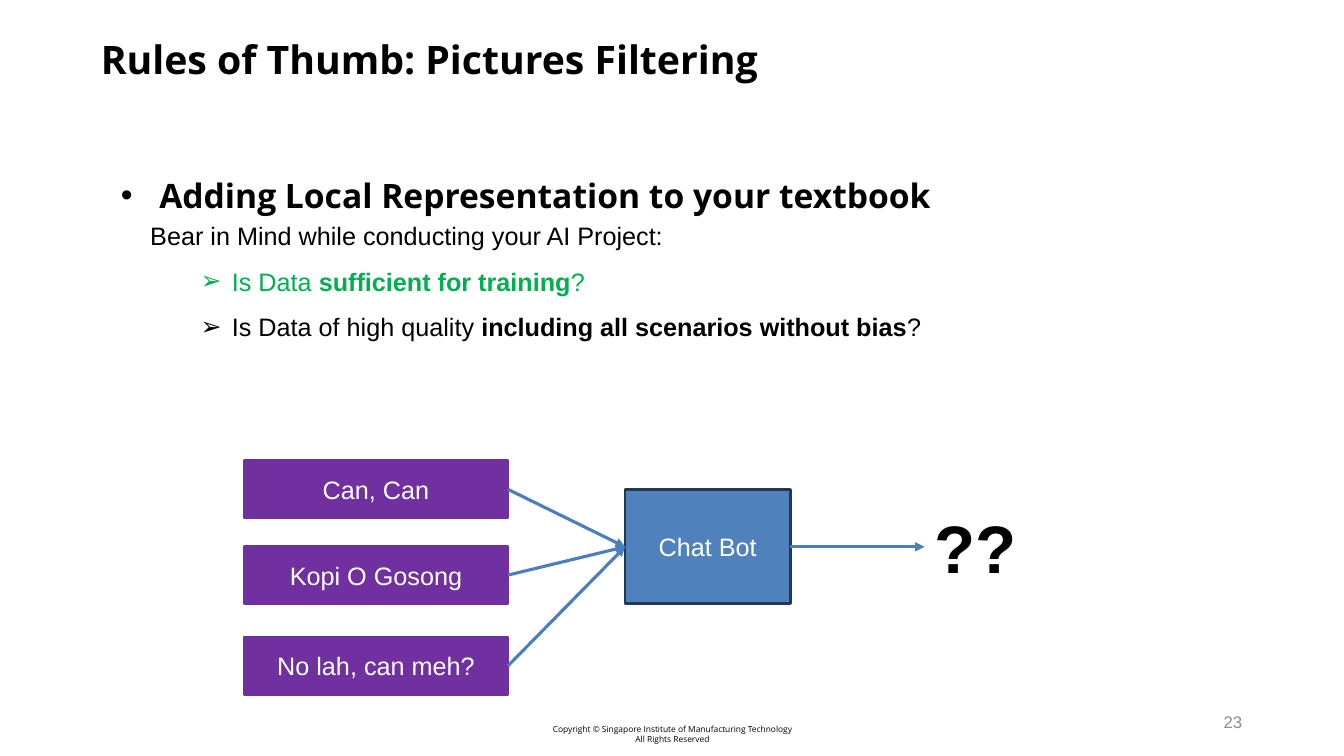
from lxml import etree
from pptx import Presentation
from pptx import util as u
from pptx.dml.color import RGBColor
from pptx.enum import shapes, text
from pptx.oxml.ns import qn

BLACK = RGBColor(0x00, 0x00, 0x00)
WHITE = RGBColor(0xFF, 0xFF, 0xFF)
GRAY = RGBColor(0x8C, 0x8C, 0x8C)
GREEN = RGBColor(0x00, 0xB0, 0x50)
PURPLE = RGBColor(0x70, 0x30, 0xA0)
BLUE = RGBColor(0x4F, 0x81, 0xBD)
NAVY = RGBColor(0x23, 0x39, 0x53)
ARROW_BLUE = RGBColor(0x4B, 0x7E, 0xBC)
LEFT, RIGHT = 1, 3


class SlideBuilder:
    heading_font = "Open Sans"
    body_font = "Arial"
    columns = rows = 100

    def __init__(self, presentation, layout):
        self.column = presentation.slide_width / self.columns
        self.row = presentation.slide_height / self.rows
        self.slide = presentation.slides.add_slide(presentation.slide_layouts[layout])

    def area(self, left, top, width, height):
        return (round(left * self.column), round(top * self.row),
                round(width * self.column), round(height * self.row))

    def placeholder(self, index, area):
        shape = self.slide.placeholders[index]
        shape.left, shape.top, shape.width, shape.height = self.area(*area)
        shape.text_frame.auto_size = text.MSO_AUTO_SIZE.NONE
        return shape

    def text_box(self, area):
        shape = self.slide.shapes.add_textbox(*self.area(*area))
        shape.text_frame.word_wrap = True
        return shape

    def paragraph(self, shape, runs, size, color=BLACK, font=None, bold=None,
                  align=text.PP_ALIGN.LEFT, spacing=1.0, before=0,
                  level=0, bullet=None, indent=0, hanging=0):
        frame = shape.text_frame
        paragraph = frame.paragraphs[0]
        if paragraph.runs:
            paragraph = frame.add_paragraph()
        properties = paragraph._p.get_or_add_pPr()
        properties.set("marL", str(u.Inches(indent)))
        properties.set("indent", str(-u.Inches(hanging)))
        if bullet:
            etree.SubElement(properties, qn("a:buFont"), typeface=self.body_font)
            etree.SubElement(properties, qn("a:buChar"), char=bullet)
        else:
            etree.SubElement(properties, qn("a:buNone"))
        paragraph.level = level
        paragraph.alignment = align
        paragraph.line_spacing = spacing
        paragraph.space_before = u.Pt(before)
        paragraph.font.name = font or self.body_font
        paragraph.font.size = u.Pt(size)
        paragraph.font.bold = bold
        paragraph.font.color.rgb = color
        for words, strong in runs:
            run = paragraph.add_run()
            run.text = words
            if strong:
                run.font.bold = True

    def box(self, label, area, fill, line):
        shape = self.slide.shapes.add_shape(shapes.MSO_SHAPE.RECTANGLE, *self.area(*area))
        shape.shadow.inherit = False
        shape.fill.solid()
        shape.fill.fore_color.rgb = fill
        shape.line.color.rgb = line
        shape.line.width = u.Pt(2)
        shape.text_frame.vertical_anchor = text.MSO_ANCHOR.MIDDLE
        self.paragraph(shape, [(label, False)], 18, WHITE, align=text.PP_ALIGN.CENTER)
        return shape

    def arrow(self, source, target):
        connector = self.slide.shapes.add_connector(shapes.MSO_CONNECTOR.STRAIGHT, 0, 0, 0, 0)
        connector.begin_connect(source, RIGHT)
        connector.end_connect(target, LEFT)
        connector.line.color.rgb = ARROW_BLUE
        connector.line.width = u.Pt(2.25)
        etree.SubElement(connector.line._get_or_add_ln(), qn("a:tailEnd"), type="triangle")
        etree.SubElement(connector._element.spPr, qn("a:effectLst"))


def main():
    presentation = Presentation()
    presentation.slide_width = u.Inches(13.33)
    presentation.slide_height = u.Inches(7.5)
    builder = SlideBuilder(presentation, 3)

    copyright_box = builder.text_box((17.55, 95.47, 64.97, 4.53))
    frame = copyright_box.text_frame
    frame.margin_left = frame.margin_right = u.Inches(0.07)
    frame.margin_top = frame.margin_bottom = u.Inches(0.04)
    for words, before in (("Copyright © Singapore Institute of Manufacturing Technology", 0),
                          ("All Rights Reserved", 1.2)):
        builder.paragraph(copyright_box, [(words, False)], 6, font=builder.heading_font,
                          align=text.PP_ALIGN.CENTER, spacing=0.82, before=before)

    title = builder.placeholder(0, (6.75, 2.8, 93.25, 10))
    title.text_frame.vertical_anchor = text.MSO_ANCHOR.MIDDLE
    builder.paragraph(title, [("Rules of Thumb: Pictures Filtering", False)], 28,
                      font=builder.heading_font, bold=True)

    number = builder.text_box((70.67, 92.8, 22.5, 5.33))
    number.text_frame.vertical_anchor = text.MSO_ANCHOR.MIDDLE
    builder.paragraph(number, [("23", False)], 12, GRAY, align=text.PP_ALIGN.RIGHT)

    heading = builder.placeholder(1, (8.25, 17.07, 88.75, 10.53))
    builder.paragraph(heading, [("Adding Local Representation to your textbook", False)], 24,
                      font=builder.heading_font, bold=True, spacing=2.0,
                      bullet="•", indent=0.38, hanging=0.38)

    questions = builder.placeholder(2, (10.43, 28.53, 84.32, 16.8))
    builder.paragraph(questions, [("Bear in Mind while conducting your AI Project:", False)], 18)
    for opening, emphasis, color in (
            ("Is Data ", "sufficient for training", GREEN),
            ("Is Data of high quality ", "including all scenarios without bias", BLACK)):
        builder.paragraph(questions, [(opening, False), (emphasis, True), ("?", False)], 18,
                          color, spacing=1.5, level=1, bullet="➢", indent=0.81, hanging=0.31)

    model = builder.box("Chat Bot", (46.51, 64.8, 12.3, 15.07), BLUE, NAVY)
    for phrase, top in (("Can, Can", 60.93), ("Kopi O Gosong", 72.27),
                        ("No lah, can meh?", 84.27)):
        phrase_box = builder.box(phrase, (18.15, top, 19.65, 7.6), PURPLE, PURPLE)
        builder.arrow(phrase_box, model)

    answer = builder.text_box((68.79, 66.27, 9.53, 12.13))
    builder.paragraph(answer, [("??", False)], 48, bold=True)
    builder.arrow(model, answer)

    presentation.save("out.pptx")


if __name__ == "__main__":
    main()
